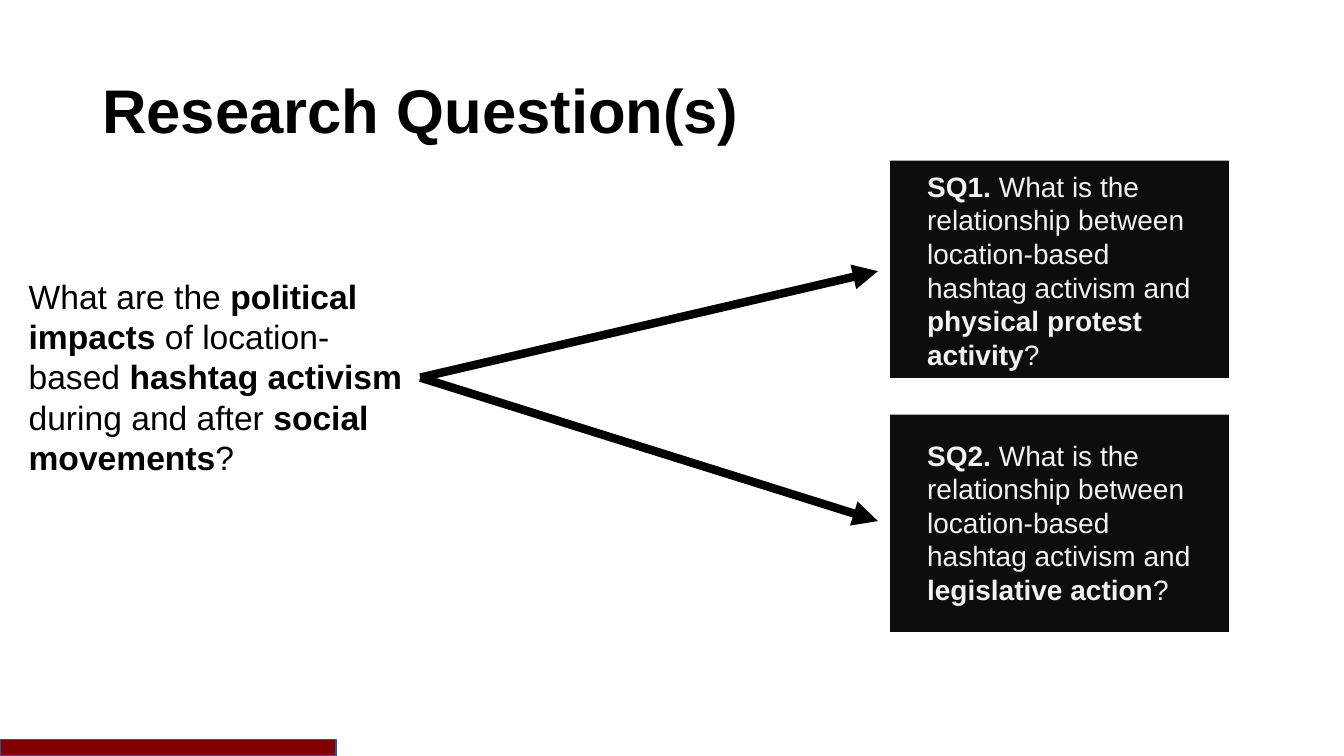
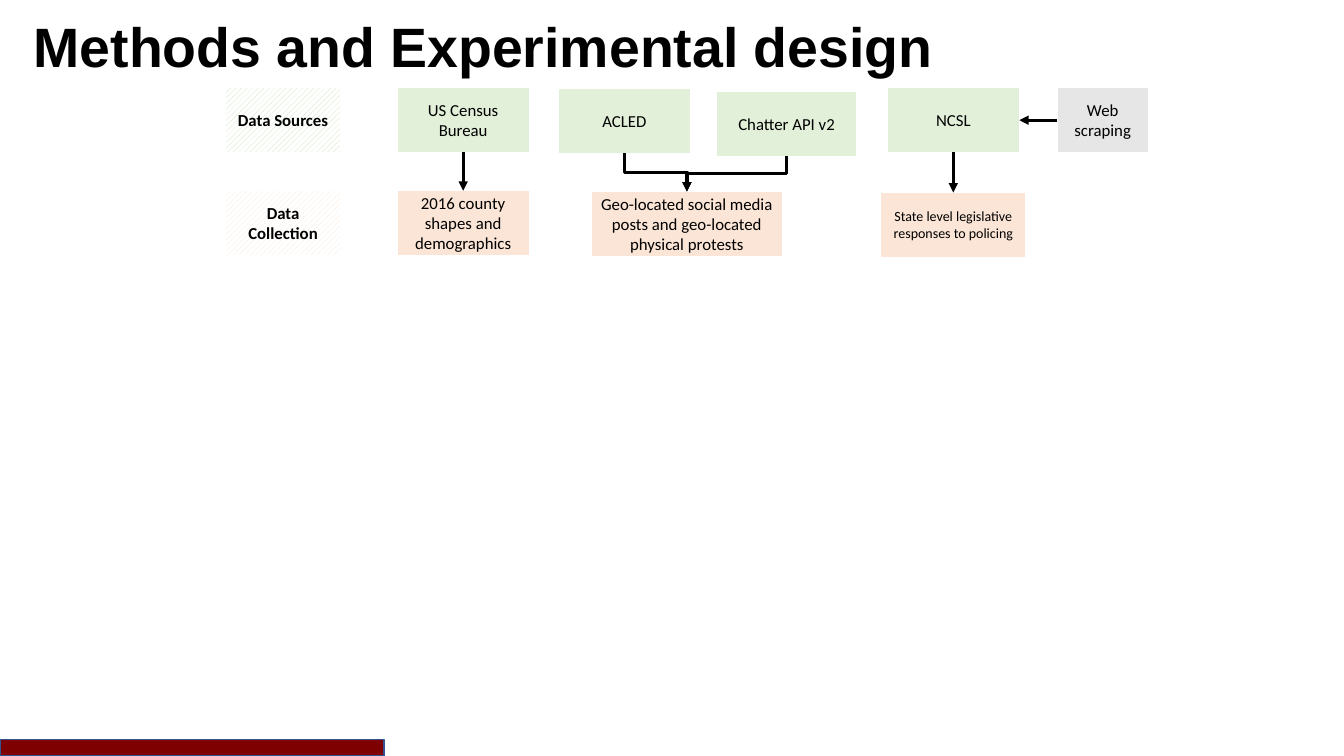
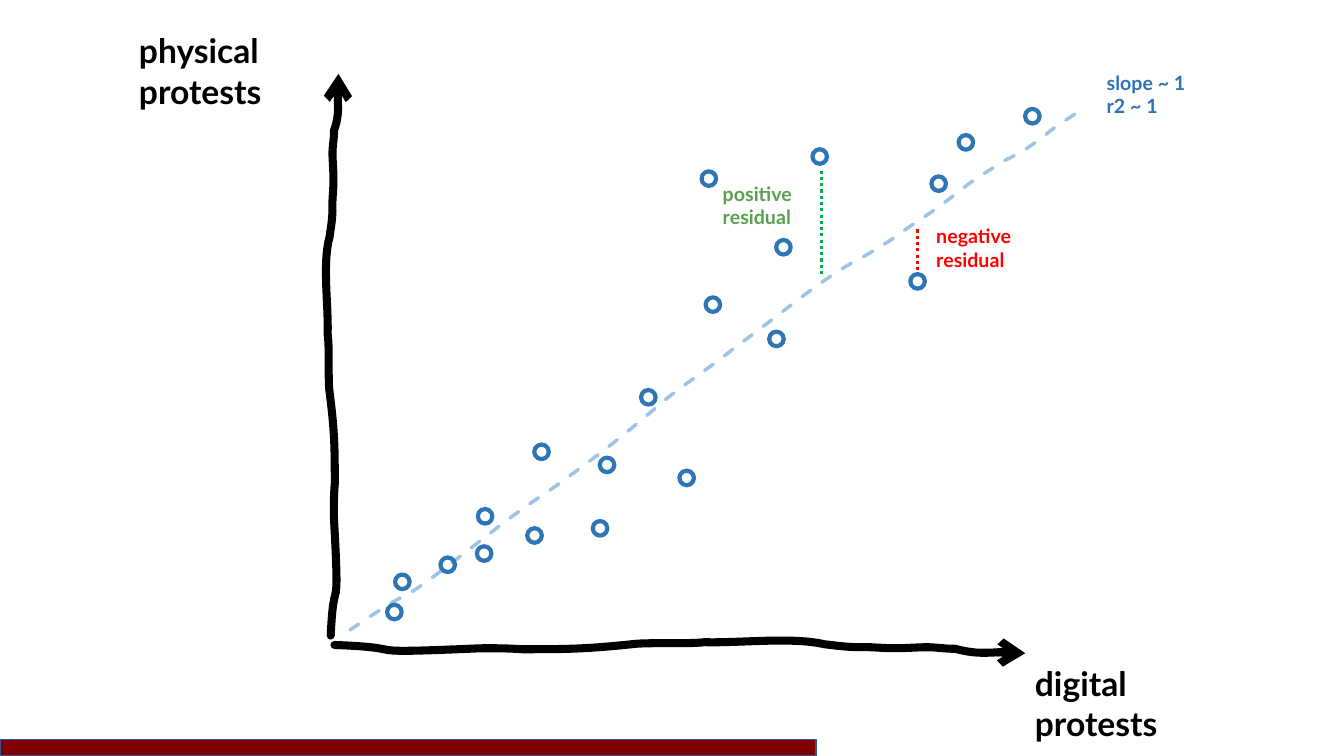
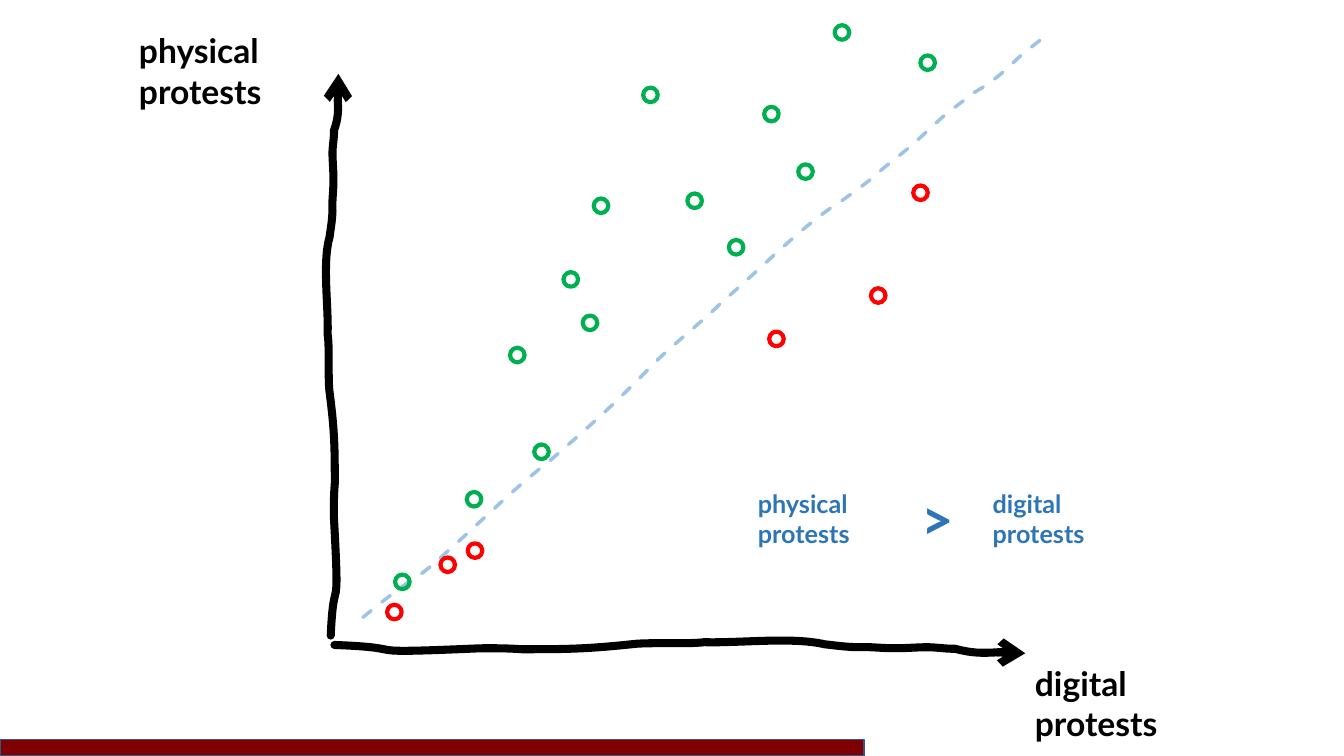
from dataclasses import dataclass
from typing import NamedTuple

from lxml import etree
from pptx import Presentation
from pptx.dml.color import RGBColor
from pptx.enum.dml import MSO_LINE, MSO_PATTERN
from pptx.enum.shapes import MSO_CONNECTOR as CONN, MSO_SHAPE as SHAPE
from pptx.enum.text import MSO_ANCHOR as ANCHOR, MSO_AUTO_SIZE as FIT, PP_ALIGN as ALIGN
from pptx.oxml.ns import qn
from pptx.util import Pt

SLIDE_W, SLIDE_H = 960, 540
DECK_LENGTH = 28
BLACK, WHITE = "000000", "FFFFFF"
MAROON, NAVY = "7F0000", "325491"
PANEL, PANEL_TEXT = "0D0D0D", "F2F2F2"
SOURCE, SOURCE_HATCH = "E2F0D9", "C5E0B4"
COLLECTION, TOOL = "FBE5D6", "E7E6E6"
BLUE, PALE_BLUE = "2E75B6", "9DC3E6"
GREEN, SOFT_GREEN, RED = "00B050", "59A14F", "FF0000"
NODE_H = 46.2
DOT = 10.4
SKETCH_H = 56

# Hand-drawn stroke: a start, then three points for each cubic curve;
# x in percent of its length, y in points from its top
SKETCH_POINTS = [
    (0, 56),
    (12.6, 50.5), (1.4, 61.8), (21.1, 45.3),
    (23.2, 43.9), (25, 42.8), (27.2, 42.2),
    (33.6, 38.2), (36.2, 36.6), (43, 28.8),
    (45.1, 26), (51.3, 23.7), (53.4, 20.9),
    (58.6, 18.4), (66, 9.2), (70.8, 11.6),
    (72.1, 11.5), (73.7, 11.7), (75.5, 10.8),
    (77.4, 9.2), (79.1, 9.4), (81.1, 8.1),
    (82.7, 7.1), (84.6, 5.2), (85.6, 4.6),
    (86.9, 3.7), (88.5, 4.1), (89.8, 3.1),
    (92.2, 4.8), (93.7, 3.9), (95.9, 1.9),
    (98, 0), (96.9, 1.2), (100, 0),
]


class Box(NamedTuple):
    x: float
    y: float
    w: float
    h: float


@dataclass
class Node:
    text: str
    x: float
    y: float
    w: float
    fill: str
    size: float = 12
    hatched: bool = False


@dataclass
class Label:
    text: str
    box: Box
    size: float
    color: str


@dataclass
class Sketch:
    cx: float
    cy: float
    length: float
    rotation: float


Y_AXIS = Sketch(239, 253.4, 397.4, 278.8)
X_AXIS = Sketch(485.6, 463.7, 490.3, 7.2)
AXIS_LABELS = [
    Label("physical protests", Box(92.2, 18, 132.5, 65.5), 24, BLACK),
    Label("digital protests", Box(732.2, 469.7, 132.5, 65.5), 24, BLACK),
]


def rgb(color: str) -> RGBColor:
    return RGBColor.from_string(color)


def emu(*points: float) -> list:
    return [Pt(v) for v in points]


def style_line(shape, color: str, width: float, dash=None, head="", cap=""):
    line = shape.line
    line.color.rgb = rgb(color)
    line.width = Pt(width)
    if dash:
        line.dash_style = dash
    ln = shape._element.spPr.find(qn("a:ln"))
    if cap:
        ln.set("cap", cap)
    if head:
        etree.SubElement(ln, qn("a:tailEnd"), type=head)


def write(shape, text: str, *, size: float, font: str, color=BLACK, bold=False,
          anchor=ANCHOR.TOP, align=ALIGN.LEFT, spacing=None, inset=(7.2, 3.6),
          fit=FIT.NONE):
    """Fill a shape with text; ** switches bold, a newline starts a paragraph."""
    tf = shape.text_frame
    tf.word_wrap = True
    tf.auto_size = fit
    tf.vertical_anchor = anchor
    tf.margin_left = tf.margin_right = Pt(inset[0])
    tf.margin_top = tf.margin_bottom = Pt(inset[1])
    for i, line in enumerate(text.split("\n")):
        p = tf.add_paragraph() if i else tf.paragraphs[0]
        p.alignment = align
        p.line_spacing = spacing
        for j, part in enumerate(line.split("**")):
            if part:
                r = p.add_run()
                r.text = part
                r.font.size = Pt(size)
                r.font.name = font
                r.font.bold = bold or j % 2 == 1
                r.font.color.rgb = rgb(color)


def add_text(s, box: Box, text: str, fit=FIT.SHAPE_TO_FIT_TEXT, **fmt):
    tb = s.shapes.add_textbox(*emu(*box))
    write(tb, text, fit=fit, **fmt)
    return tb


def add_title(s, box: Box, text: str, size: float):
    add_text(s, box, text, fit=FIT.NONE, size=size, font="Arial", bold=True,
             anchor=ANCHOR.MIDDLE, spacing=0.9)


def add_shape(s, box: Box, kind=SHAPE.RECTANGLE, fill="", line="", width=1.0):
    sp = s.shapes.add_shape(kind, *emu(*box))
    sp.shadow.inherit = False
    if fill:
        sp.fill.solid()
        sp.fill.fore_color.rgb = rgb(fill)
    else:
        sp.fill.background()
    if line:
        style_line(sp, line, width)
    else:
        sp.line.fill.background()
    return sp


def add_progress_bar(s, number: int):
    add_shape(s, Box(0, 528, SLIDE_W * number / DECK_LENGTH, 12),
              fill=MAROON, line=NAVY)


def add_line(s, start=(0, 0), end=(0, 0), kind=CONN.STRAIGHT, **line):
    c = s.shapes.add_connector(kind, *emu(*start, *end))
    style_line(c, **line)
    etree.SubElement(c._element.spPr, qn("a:effectLst"))
    return c


def join(s, source, site: int, target, target_site: int):
    c = add_line(s, kind=CONN.ELBOW, color=BLACK, width=2.25, head="triangle")
    c.begin_connect(source, site)
    c.end_connect(target, target_site)
    return c


def join_down(s, source, target):
    """Elbow from the bottom of one node to the top of another."""
    c = join(s, source, 2, target, 0)
    dx, dy = c.end_x - c.begin_x, c.end_y - c.begin_y
    mid_x, mid_y = (c.begin_x + c.end_x) // 2, (c.begin_y + c.end_y) // 2
    c.left, c.top = mid_x - dy // 2, mid_y - abs(dx) // 2
    c.width, c.height = dy, abs(dx)
    xfrm = c._element.spPr.find(qn("a:xfrm"))
    xfrm.set("rot", "16200000" if dx > 0 else "5400000")
    xfrm.set("flipH", "1" if dx > 0 else "0")


def add_node(s, node: Node):
    sp = add_shape(s, Box(node.x, node.y, node.w, NODE_H), fill=node.fill,
                   line=WHITE, width=0.75)
    if node.hatched:
        sp.fill.patterned()
        sp.fill.pattern = MSO_PATTERN.WIDE_UPWARD_DIAGONAL
        sp.fill.fore_color.rgb = rgb(node.fill)
        sp.fill.back_color.rgb = rgb(WHITE)
    write(sp, node.text, size=node.size, font="Calibri", bold=node.hatched,
          anchor=ANCHOR.MIDDLE, align=ALIGN.CENTER, inset=(5, 2.5))
    return sp


def curve_outline(sp):
    """Turn each three straight segments of a freeform into one cubic curve."""
    outline = next(sp._element.iter(qn("a:path")))
    segments = outline.findall(qn("a:lnTo"))
    for i in range(0, len(segments), 3):
        curve = etree.SubElement(outline, qn("a:cubicBezTo"))
        for segment in segments[i:i + 3]:
            curve.append(segment[0])
            outline.remove(segment)
    return outline


def add_sketch(s, sketch: Sketch, **line):
    left, top = sketch.cx - sketch.length / 2, sketch.cy - SKETCH_H / 2
    points = [emu(left + x * sketch.length / 100, top + y) for x, y in SKETCH_POINTS]
    builder = s.shapes.build_freeform(*points[0], scale=1.0)
    builder.add_line_segments(points[1:], close=False)
    sp = builder.convert_to_shape()
    # One control point lies below the stroke, so the frame is cut to the stroke
    curve_outline(sp).set("h", str(Pt(SKETCH_H)))
    sp.height = Pt(SKETCH_H)
    sp.shadow.inherit = False
    sp.fill.background()
    style_line(sp, cap="rnd", **line)
    sp.rotation = sketch.rotation


def add_scatter(s, trend: Sketch, dots: dict, labels: list):
    """Sketched axes, a dashed trend, dots listed by colour, and labels."""
    for axis in (Y_AXIS, X_AXIS):
        add_sketch(s, axis, color=BLACK, width=5.75, head="arrow")
    add_sketch(s, trend, color=PALE_BLUE, width=2.5, dash=MSO_LINE.DASH)
    for color, places in dots.items():
        for x, y in places:
            add_shape(s, Box(x, y, DOT, DOT), SHAPE.OVAL, line=color, width=3)
    for label in AXIS_LABELS + labels:
        add_text(s, label.box, label.text, size=label.size, font="Lato",
                 color=label.color, bold=True)


def research_questions(s):
    for y in (114.8, 296.2):
        add_shape(s, Box(635.9, y, 242, 155.2), fill=PANEL)
    add_title(s, Box(66, 28.8, 828, 104.4), "Research Question(s)", 44)
    stem = "What is the relationship between location-based hashtag activism and"
    for name, topic, y, h in (("SQ1.", "physical protest activity", 117.4, 152.6),
                              ("SQ2.", "legislative action", 309.4, 128.2)):
        add_text(s, Box(655.2, y, 203.8, h), f"**{name} **{stem} **{topic}**?",
                 size=20, font="Arial", color=PANEL_TEXT)
    question = add_text(
        s, Box(13.4, 193.4, 286.8, 152.6),
        "What are the **political impacts **of location-based **hashtag activism "
        "**during and after **social movements**?", size=24, font="Arial")
    for y in (193.7, 372.2):
        arrow = add_line(s, end=(627.1, y), color=BLACK, width=6, head="triangle")
        arrow.begin_connect(question, 3)


def methods(s):
    add_title(s, Box(17, 12.2, 720.7, 46), "Methods and Experimental design", 39.6)
    for node in (Node("Data Sources", 161.2, 62.7, 82, SOURCE_HATCH, hatched=True),
                 Node("Data Collection", 161.2, 136.2, 82, COLLECTION, hatched=True)):
        add_node(s, node)
    census, acled, posts_api, ncsl, scraping, shapes, posts, laws = [
        add_node(s, node) for node in (
            Node("US Census Bureau", 283.7, 62.7, 94.3, SOURCE),
            Node("ACLED", 398.9, 63.3, 94.3, SOURCE),
            Node("Chatter API v2", 511.9, 65.3, 100, SOURCE),
            Node("NCSL", 633.8, 62.7, 94.3, SOURCE),
            Node("Web scraping", 755.3, 62.7, 64.8, TOOL),
            Node("2016 county shapes and demographics", 283.7, 136.2, 94.3, COLLECTION),
            Node("Geo-located social media posts and geo-located physical protests",
                 422.6, 136.8, 136.1, COLLECTION),
            Node("State level legislative responses to policing",
                 629.1, 137.5, 103.7, COLLECTION, size=10),
        )]
    join(s, scraping, 1, ncsl, 3)
    for source, target in ((census, shapes), (posts_api, posts),
                           (ncsl, laws), (acled, posts)):
        join_down(s, source, target)


def residuals(s):
    dots = {BLUE: [
        (665.3, 126), (340.6, 390.2), (341.3, 363.6), (314.6, 398.2), (282.2, 410.4),
        (276.5, 432), (381.6, 317.5), (732.2, 77.8), (549.4, 236.9), (376.6, 377.3),
        (457.9, 278.6), (428.4, 326.9), (423.4, 372.2), (485.3, 336.2), (554.4, 171.4),
        (501.1, 122.4), (580.3, 106.6), (684.7, 96.5), (504, 212.4), (650.2, 195.8)]}
    add_scatter(s, Sketch(510.1, 265, 635.8, 329.6), dots, [
        Label("negative residual", Box(661.7, 156.5, 100, 41), 14, RED),
        Label("positive residual", Box(509.2, 126.3, 100, 41), 14, SOFT_GREEN),
        Label("slope ~ 1\nr2 ~ 1", Box(783.4, 46.8, 100, 41), 14, BLUE),
    ])
    for x, bottom, top, color in ((586.6, 195.8, 122.4, GREEN),
                                  (655.2, 193, 163.6, RED)):
        add_line(s, (x, bottom), (x, top), color=color, width=2.25,
                 dash=MSO_LINE.ROUND_DOT)


def physical_over_digital(s):
    dots = {
        GREEN: [
            (596.2, 18), (333.4, 351.4), (282.2, 410.4), (381.6, 317.5), (657.4, 39.6),
            (364.3, 248.4), (402.5, 194.4), (416.2, 225.4), (459.4, 62.6),
            (424.1, 141.8), (545.8, 76.3), (570.2, 117.4), (520.6, 171.4), (491, 138.2)],
        RED: [
            (334.1, 388.1), (314.6, 398.2), (276.5, 432), (549.4, 236.9),
            (622.1, 205.9), (652.3, 132.5)],
    }
    add_scatter(s, Sketch(502.2, 234, 635.8, 324.6), dots, [
        Label("physical protests", Box(534.2, 344.9, 107.3, 51), 18, BLUE),
        Label(">", Box(650.9, 342.7, 23.8, 55.4), 40, BLUE),
        Label("digital protests", Box(702, 344.9, 103.7, 51), 18, BLUE),
    ])


def main():
    prs = Presentation()
    prs.slide_width, prs.slide_height = emu(SLIDE_W, SLIDE_H)
    for number, draw in ((7, research_questions), (8, methods),
                         (17, residuals), (18, physical_over_digital)):
        s = prs.slides.add_slide(prs.slide_layouts[6])
        draw(s)
        add_progress_bar(s, number)
    prs.save("out.pptx")


if __name__ == "__main__":
    main()
